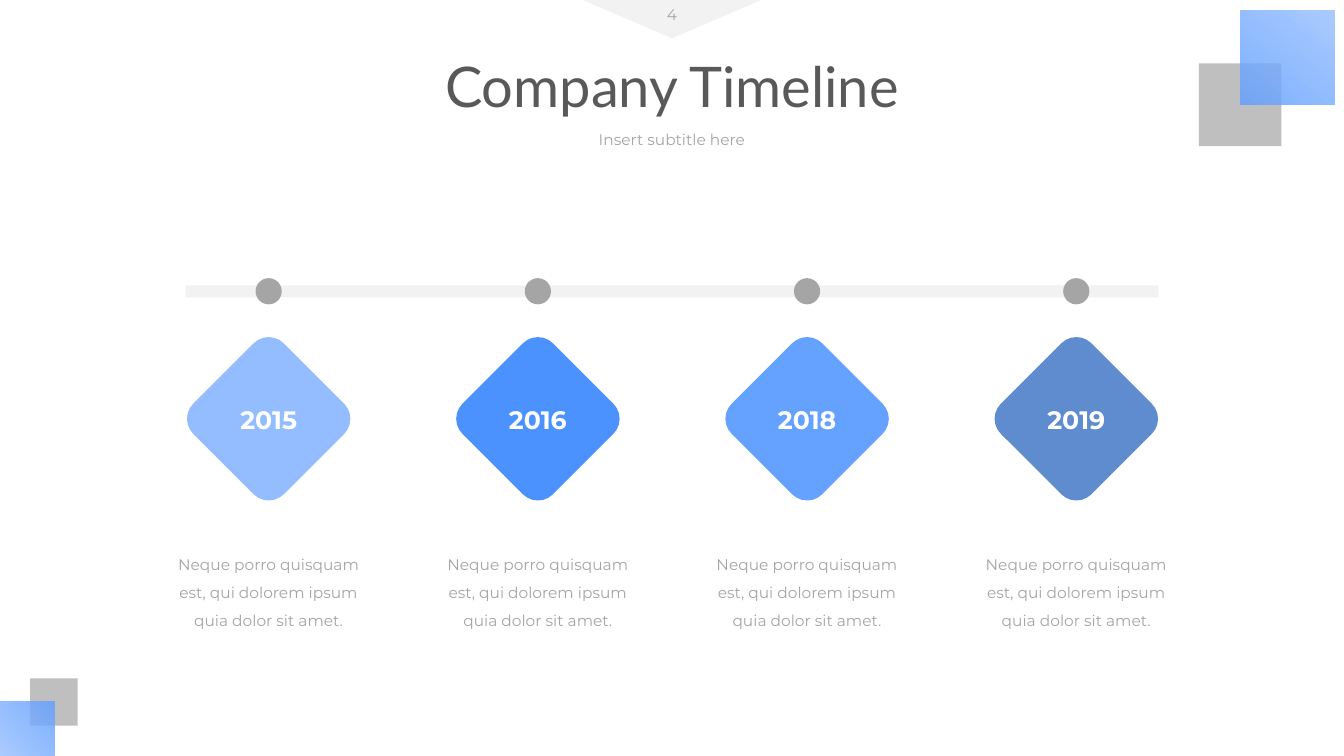
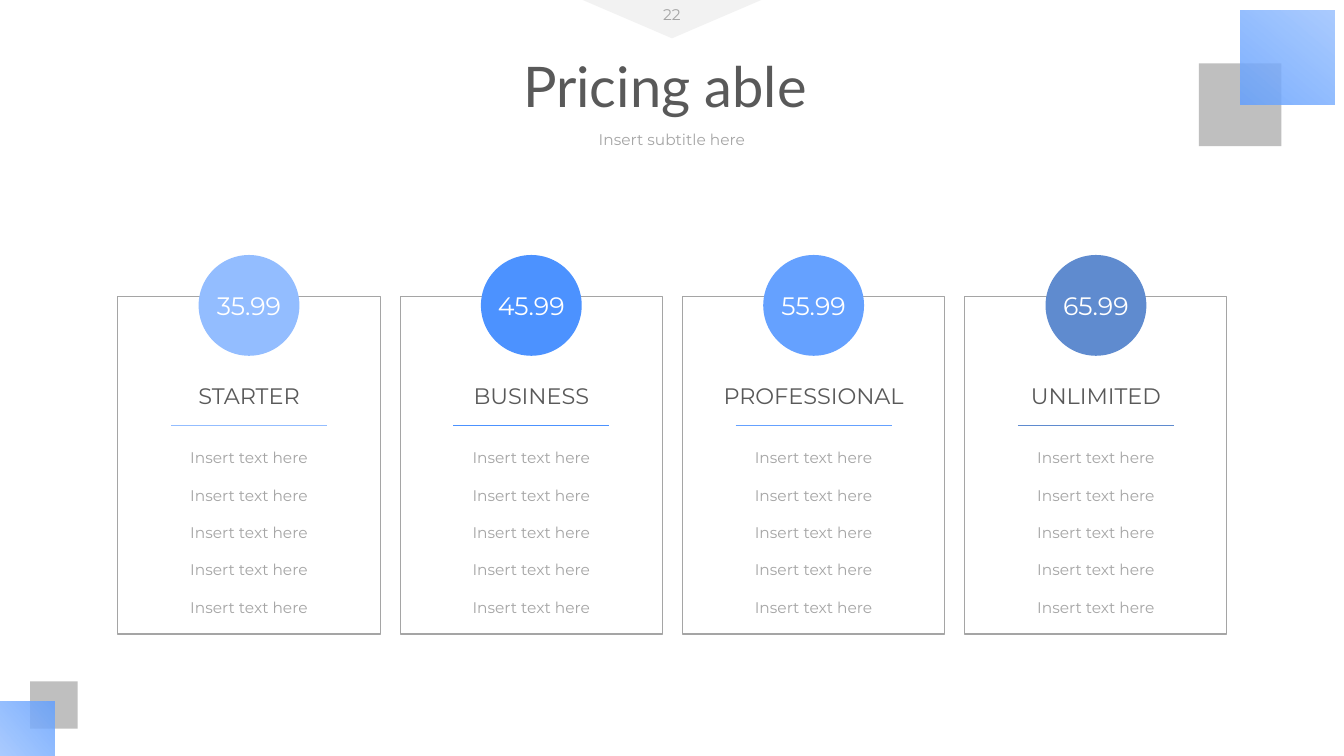
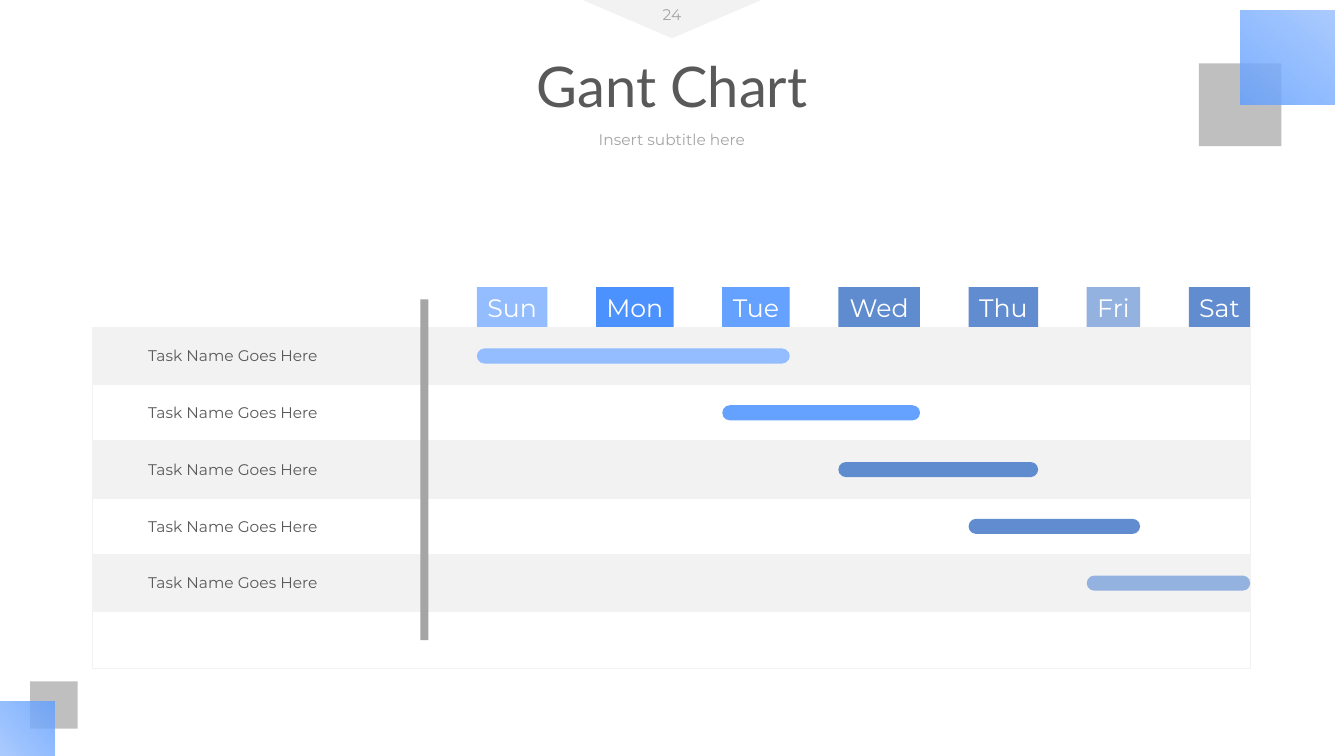
"""Build three business slides: a company timeline, a pricing table and a Gantt chart."""
from dataclasses import dataclass

from lxml import etree
from pptx import Presentation
from pptx.dml.color import RGBColor
from pptx.enum import shapes, text
from pptx.oxml.ns import qn
from pptx.util import Inches, Pt


@dataclass(frozen=True)
class Theme:
    white: str = "FFFFFF"
    pale: str = "F2F2F2"
    silver: str = "BFBFBF"
    grey: str = "A5A5A5"
    dark: str = "595959"
    sky: str = "93BDFF"
    azure: str = "4C92FF"
    blue: str = "65A1FF"
    steel: str = "5F8BCF"
    slate: str = "618CCF"
    mist: str = "94B2DF"
    title_font: str = "Lato"
    body_font: str = "Montserrat"
    title_size: int = 40
    figure_size: int = 18
    label_size: int = 16
    body_size: int = 11


THEME = Theme()
ACCENTS = (THEME.sky, THEME.azure, THEME.blue, THEME.steel)
KIND = shapes.MSO_SHAPE
CENTER, LEFT = text.PP_ALIGN.CENTER, text.PP_ALIGN.LEFT
MIDDLE = 6.67

SUBTITLE = "Insert subtitle here"
YEARS = ("2015", "2016", "2018", "2019")
MILESTONE = "Neque porro quisquam est, qui dolorem ipsum quia dolor sit amet."
PLANS = (
    ("STARTER", "35.99", 1.27),
    ("BUSINESS", "45.99", 1.39),
    ("PROFESSIONAL", "55.99", 2.05),
    ("UNLIMITED", "65.99", 1.53),
)
FEATURES = ("Insert text here",) * 5
DAYS = (
    ("Sun", 0.7, THEME.sky),
    ("Mon", 0.77, THEME.azure),
    ("Tue", 0.67, THEME.blue),
    ("Wed", 0.81, THEME.steel),
    ("Thu", 0.69, THEME.slate),
    ("Fri", 0.53, THEME.mist),
    ("Sat", 0.61, THEME.slate),
)
TASKS = (
    ("Task Name Goes Here", "Sun", "Tue"),
    ("Task Name Goes Here", "Tue", "Wed"),
    ("Task Name Goes Here", "Wed", "Thu"),
    ("Task Name Goes Here", "Thu", "Fri"),
    ("Task Name Goes Here", "Fri", "Sat"),
)


def rgb(color):
    return RGBColor.from_string(color)


def write(shape, words, size, color, font=THEME.body_font, align=CENTER,
          bold=False, wrap=False, spacing=None):
    shape.text_frame.word_wrap = wrap
    para = shape.text_frame.paragraphs[0]
    para.text = words
    para.alignment = align
    para.line_spacing = spacing
    para.font.name = font
    para.font.size = Pt(size)
    para.font.bold = bold
    para.font.color.rgb = rgb(color)


def add_text(page, words, left, top, width, height, size=THEME.body_size,
             color=THEME.grey, **style):
    box = page.shapes.add_textbox(Inches(left), Inches(top), Inches(width), Inches(height))
    write(box, words, size, color, **style)


def add_block(page, kind, left, top, width, height, fill=None, line=None, weight=1):
    block = page.shapes.add_shape(kind, Inches(left), Inches(top), Inches(width), Inches(height))
    block.shadow.inherit = False
    if fill:
        block.fill.solid()
        block.fill.fore_color.rgb = rgb(fill)
    else:
        block.fill.background()
    if line:
        block.line.color.rgb = rgb(line)
        block.line.width = Pt(weight)
    else:
        block.line.fill.background()
    return block


def add_glass_square(page, left, top, side, angle):
    square = add_block(page, KIND.RECTANGLE, left, top, side, side)
    square.fill.gradient()
    square.fill.gradient_angle = angle
    stops = square.fill.gradient_stops
    for stop, color, position in zip(stops, (THEME.sky, THEME.blue), (0, 1)):
        stop.color.rgb = rgb(color)
        stop.position = position
    for tint, opacity in zip(square._element.spPr.iter(qn("a:srgbClr")), (78, 85)):
        etree.SubElement(tint, qn("a:alpha")).set("val", str(opacity * 1000))


def add_rule(page, left, right, y, color):
    rule = page.shapes.add_connector(
        shapes.MSO_CONNECTOR.STRAIGHT, Inches(left), Inches(y), Inches(right), Inches(y))
    rule.line.color.rgb = rgb(color)
    rule.line.width = Pt(0.75)
    etree.SubElement(rule._element.spPr, qn("a:effectLst"))


def add_page(deck, title, number, corner_top=6.76):
    page = deck.slides.add_slide(deck.slide_layouts[6])
    add_block(page, KIND.ISOSCELES_TRIANGLE, 5.78, 0, 1.77, 0.38, THEME.pale).rotation = 180
    add_block(page, KIND.RECTANGLE, 11.89, 0.63, 0.82, 0.82, THEME.silver)
    add_glass_square(page, 12.3, 0.1, 0.94, 230)
    add_block(page, KIND.RECTANGLE, 0.3, corner_top, 0.47, 0.47, THEME.silver)
    add_glass_square(page, 0, 6.96, 0.54, 40)
    add_text(page, title, 3.67, 0.46, 5.99, 0.77, THEME.title_size, THEME.dark,
             font=THEME.title_font)
    add_text(page, number, 6.11, 0, 1.11, 0.29)
    add_text(page, SUBTITLE, 5.83, 1.24, 1.67, 0.29)
    return page


def column_centers(count, pitch):
    return [MIDDLE + (index - (count - 1) / 2) * pitch for index in range(count)]


def build_timeline(deck):
    page = add_page(deck, "Company Timeline", "4", corner_top=6.73)
    add_block(page, KIND.RECTANGLE, 1.84, 2.83, 9.65, 0.12, THEME.pale)
    diamond, dot = 1.27, 0.26
    for center, year, accent in zip(column_centers(len(YEARS), 2.67), YEARS, ACCENTS):
        add_block(page, KIND.ROUNDED_RECTANGLE, center - diamond / 2, 3.52,
                  diamond, diamond, accent).rotation = 45
        add_block(page, KIND.OVAL, center - dot / 2, 2.76, dot, dot, THEME.grey)
        add_text(page, year, center - 0.45, 3.96, 0.9, 0.4, THEME.figure_size,
                 THEME.white, bold=True)
        add_text(page, MILESTONE, center - 1, 5.37, 2, 0.93, wrap=True, spacing=1.5)


def build_pricing(deck):
    page = add_page(deck, "Pricing able ", "22")
    card, rule = 2.6, 1.55
    for center, plan, accent in zip(column_centers(len(PLANS), 2.8), PLANS, ACCENTS):
        name, price, name_width = plan
        add_block(page, KIND.RECTANGLE, center - card / 2, 2.94, card, 3.35,
                  line=THEME.grey, weight=0.75)
        badge = add_block(page, KIND.OVAL, center - 0.5, 2.53, 1, 1, accent)
        write(badge, price, THEME.figure_size, THEME.white)
        add_text(page, name, center - name_width / 2, 3.74, name_width, 0.37,
                 THEME.label_size, THEME.dark)
        add_rule(page, center - rule / 2, center + rule / 2, 4.22, accent)
        for index, feature in enumerate(FEATURES):
            add_text(page, feature, center - 0.69, 4.4 + index * 0.37, 1.38, 0.29)


def build_gantt(deck):
    page = add_page(deck, "Gant Chart", "24")
    left, right, top, bottom = 0.92, 12.4, 3.25, 6.63
    day_left, day_height, bar_height, name_height = 4.73, 0.4, 0.15, 0.29
    gap = (right - day_left - sum(width for _, width, _ in DAYS)) / (len(DAYS) - 1)
    columns = {}
    for day, width, color in DAYS:
        columns[day] = (day_left, day_left + width, color)
        tab = add_block(page, KIND.RECTANGLE, day_left, top - day_height,
                        width, day_height, color)
        write(tab, day, THEME.figure_size, THEME.white)
        day_left += width + gap

    row_count = len(TASKS) + 1
    row_height = (bottom - top) / row_count
    for row in range(row_count):
        add_block(page, KIND.RECTANGLE, left, top + row * row_height, right - left, row_height,
                  THEME.white if row % 2 else THEME.pale, THEME.pale)
    add_block(page, KIND.RECTANGLE, 4.17, 2.97, 0.08, 3.38, THEME.grey)
    for row, (task, first, last) in enumerate(TASKS):
        middle = top + (row + 0.5) * row_height
        start, _, color = columns[first]
        end = columns[last][1]
        add_text(page, task, 1.37, middle - name_height / 2, 1.9, name_height,
                 color=THEME.dark, align=LEFT)
        bar = add_block(page, KIND.ROUNDED_RECTANGLE, start, middle - bar_height / 2,
                        end - start, bar_height, color)
        bar.adjustments[0] = 0.5


def main():
    deck = Presentation()
    deck.slide_width, deck.slide_height = Inches(13.33), Inches(7.5)
    build_timeline(deck)
    build_pricing(deck)
    build_gantt(deck)
    deck.save("out.pptx")


if __name__ == "__main__":
    main()
